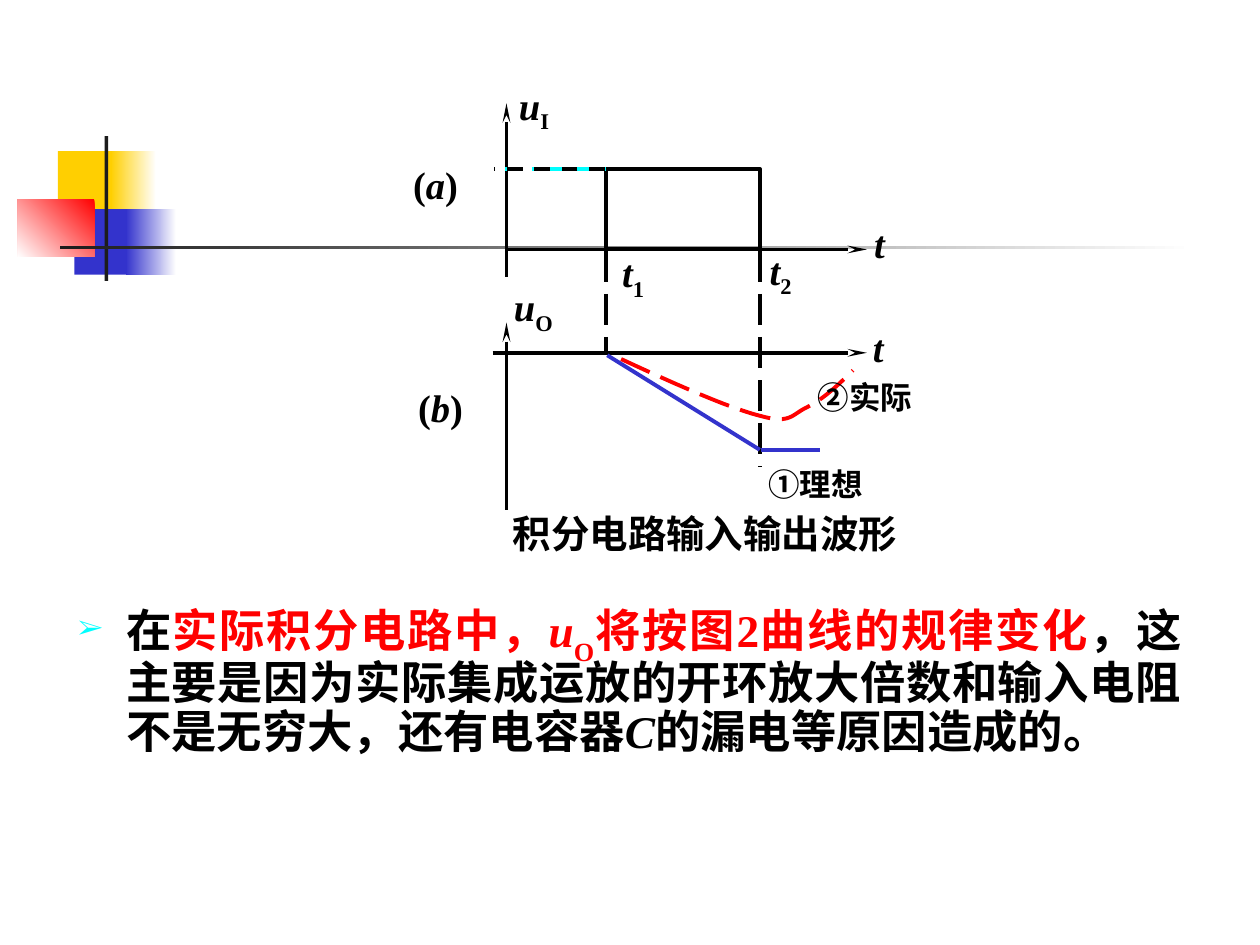
from lxml import etree
from pptx import Presentation
from pptx.dml.color import RGBColor
from pptx.enum import dml, shapes, text
from pptx.oxml import ns
from pptx.util import Inches, Pt

COLORS = {
    "black": "000000", "white": "FFFFFF", "ink": "1C1C1C", "yellow": "FFCF01",
    "blue": "3333CC", "red": "FF0000", "cyan": "00FFFF",
}
FONT = "Times New Roman"
X_AXIS, X_T1, X_T2, X_ARROW = 4.02, 4.81, 6.03, 6.88
Y_HIGH, Y_INPUT, Y_OUTPUT, Y_IDEAL = 1.34, 1.98, 2.8, 3.57
LONG_DASH = dml.MSO_LINE.LONG_DASH


def rgb(name):
    return RGBColor.from_string(COLORS[name])


def add_child(parent, tag, **attributes):
    return etree.SubElement(parent, ns.qn(tag), attributes)


def style_line(line, color, dash=None):
    line.color.rgb = rgb(color)
    line.width = Pt(2.25)
    if dash is not None:
        line.dash_style = dash


def add_rect(slide, left, top, width, height):
    rect = slide.shapes.add_shape(
        shapes.MSO_SHAPE.RECTANGLE, *map(Inches, (left, top, width, height)))
    rect.shadow.inherit = False
    return rect


def add_block(slide, place, start, end=None, angle=180):
    """Borderless rectangle, solid or fading from start to end."""
    block = add_rect(slide, *place)
    block.line.fill.background()
    if end is None:
        block.fill.solid()
        block.fill.fore_color.rgb = rgb(start)
        return
    block.fill.gradient()
    block.fill.gradient_angle = angle
    for stop, position, color in zip(block.fill.gradient_stops, (0, 1), (start, end)):
        stop.position = position
        stop.color.rgb = rgb(color)


def add_line(slide, start, end, color="black", dash=None, arrow=None):
    """arrow is 'a:headEnd' for the start or 'a:tailEnd' for the end."""
    line = slide.shapes.add_connector(
        shapes.MSO_CONNECTOR.STRAIGHT, *map(Inches, (*start, *end)))
    style_line(line.line, color, dash)
    if arrow:
        add_child(line.line._get_or_add_ln(), arrow, type="stealth", w="sm", len="lg")
    add_child(line._element.spPr, "a:effectLst")


def bezier(p0, p1, p2, p3, steps=12):
    """Points along a cubic curve, without its first point."""
    for step in range(1, steps + 1):
        t = step / steps
        weights = ((1 - t) ** 3, 3 * t * (1 - t) ** 2, 3 * t * t * (1 - t), t ** 3)
        yield tuple(
            sum(w * p[axis] for w, p in zip(weights, (p0, p1, p2, p3)))
            for axis in (0, 1))


def add_curve(slide, nodes, color):
    nodes = [(Inches(x), Inches(y)) for x, y in nodes]
    points = [point for i in range(0, len(nodes) - 1, 3)
              for point in bezier(*nodes[i:i + 4])]
    builder = slide.shapes.build_freeform(*nodes[0])
    builder.add_line_segments(points, close=False)
    curve = builder.convert_to_shape()
    curve.shadow.inherit = False
    curve.fill.background()
    style_line(curve.line, color, LONG_DASH)


def add_spans(para, spans, size):
    """Each span is (words, color, italic, baseline percent)."""
    for words, color, italic, baseline in spans:
        span = para.add_run()
        span.text = words
        span.font.name = FONT
        span.font.size = Pt(size)
        span.font.bold = True
        span.font.italic = italic
        span.font.color.rgb = rgb(color)
        if baseline:
            span.font._element.set("baseline", str(baseline * 1000))


def add_label(slide, place, parts, size=22, align=text.PP_ALIGN.JUSTIFY):
    """Each part is plain words, '*' + italic words or '_' + subscript."""
    box = slide.shapes.add_textbox(*map(Inches, place))
    box.text_frame.word_wrap = True
    para = box.text_frame.paragraphs[0]
    para.alignment = align
    add_spans(para, [(part.lstrip("*_"), "black", part[0] == "*",
                      -25 if part[0] == "_" else 0) for part in parts], size)


def add_decoration(slide):
    add_block(slide, (0.46, 1.2, 0.48, 0.52), "yellow")
    add_block(slide, (0.88, 1.2, 0.36, 0.52), "white", "yellow")
    add_block(slide, (0.59, 1.66, 0.46, 0.52), "blue")
    add_block(slide, (1, 1.66, 0.4, 0.52), "white", "blue")
    add_block(slide, (0.14, 1.58, 0.61, 0.46), "red", "white", 225)
    add_block(slide, (0.83, 1.08, 0.03, 1.15), "ink")
    add_block(slide, (0.48, 1.95, 9, 0.03), "white", "ink")


def add_waveforms(slide):
    add_line(slide, (X_AXIS, 0.82), (X_AXIS, 2.2), arrow="a:headEnd")
    add_line(slide, (X_AXIS, Y_INPUT), (X_ARROW, Y_INPUT), arrow="a:tailEnd")
    pulse = add_rect(slide, X_T1, Y_HIGH, X_T2 - X_T1, Y_INPUT - Y_HIGH)
    pulse.fill.background()
    style_line(pulse.line, "black")
    add_line(slide, (X_T1, Y_HIGH), (4.01, Y_HIGH), "cyan", LONG_DASH)
    for x, bottom in ((X_T1, 2.82), (X_T2, 3.71)):
        add_line(slide, (x, 1.99), (x, bottom), dash=LONG_DASH)
    add_line(slide, (X_AXIS, 2.56), (X_AXIS, 4.05), arrow="a:headEnd")
    add_line(slide, (3.91, Y_OUTPUT), (X_ARROW, Y_OUTPUT), arrow="a:tailEnd")
    add_line(slide, (4.82, 2.82), (X_T2, Y_IDEAL), "blue")
    add_line(slide, (6.04, Y_IDEAL), (6.51, Y_IDEAL), "blue")
    add_curve(slide, [
        (4.93, 2.85), (5.36, 3.05), (5.79, 3.24), (6.03, 3.3), (6.28, 3.37),
        (6.28, 3.29), (6.41, 3.23), (6.53, 3.17), (6.65, 3.06), (6.77, 2.94)], "red")
    add_line(slide, (4.8, Y_HIGH), (3.92, Y_HIGH), dash=dml.MSO_LINE.DASH)


def add_labels(slide):
    for place, parts in (
            ((4.02, 0.6, 1.12, 0.74), ("*u", "_I")),
            ((3.98, 2.2, 1.12, 0.74), ("*u", "_O")),
            ((4.84, 1.93, 0.67, 0.62), ("*t", "_1")),
            ((6.01, 1.91, 0.6, 0.69), ("*t", "_2")),
            ((6.84, 1.7, 0.43, 0.74), ("*t",)),
            ((6.83, 2.52, 0.35, 0.74), ("*t",)),
            ((3.18, 1.23, 1.32, 1), ("(", "*a", ")")),
            ((3.22, 3, 1.19, 0.86), ("(", "*b", ")"))):
        add_label(slide, place, parts)
    add_label(slide, (6, 3.64, 1.18, 0.46), ("①理想",), 18)
    add_label(slide, (6.39, 2.95, 1.24, 0.45), ("②实际",), 18)
    add_label(slide, (3.35, 4, 4.49, 1.01), ("积分电路输入输出波形",),
              align=text.PP_ALIGN.CENTER)


def fill_body(body):
    body.left, body.top, body.width, body.height = map(Inches, (0.52, 4.73, 8.96, 1.97))
    body.text_frame.auto_size = text.MSO_AUTO_SIZE.NONE
    body.text_frame.vertical_anchor = text.MSO_ANCHOR.TOP
    para = body.text_frame.paragraphs[0]
    para.alignment = text.PP_ALIGN.JUSTIFY
    para.line_spacing = 0.9
    para.space_before = Pt(0)
    props = para._p.get_or_add_pPr()
    props.set("marL", str(Inches(0.38)))
    props.set("indent", str(Inches(-0.38)))
    add_child(add_child(props, "a:buClr"), "a:srgbClr", val=COLORS["cyan"])
    add_child(props, "a:buSzPct", val="60000")
    add_child(props, "a:buFont", typeface=FONT)
    add_child(props, "a:buChar", char="➢")
    add_spans(para, [
        ("在", "black", False, 0),
        ("实际积分电路中，", "red", False, 0),
        ("u", "red", True, 0),
        ("O", "red", False, -30),
        ("将按图2曲线的规律变化", "red", False, 0),
        ("，这主要是因为实际集成运放的开环放大倍数和输入电阻不是无穷大，还有电容器",
         "black", False, 0),
        ("C", "black", True, 0),
        ("的漏电等原因造成的。", "black", False, 0)], 25.9)


def main():
    deck = Presentation()
    deck.slide_width, deck.slide_height = Inches(10), Inches(7.5)
    page = deck.slides.add_slide(deck.slide_layouts[1])
    title = page.shapes.title._element
    title.getparent().remove(title)
    add_decoration(page)
    fill_body(page.placeholders[1])
    add_waveforms(page)
    add_labels(page)
    deck.save("out.pptx")


if __name__ == "__main__":
    main()
